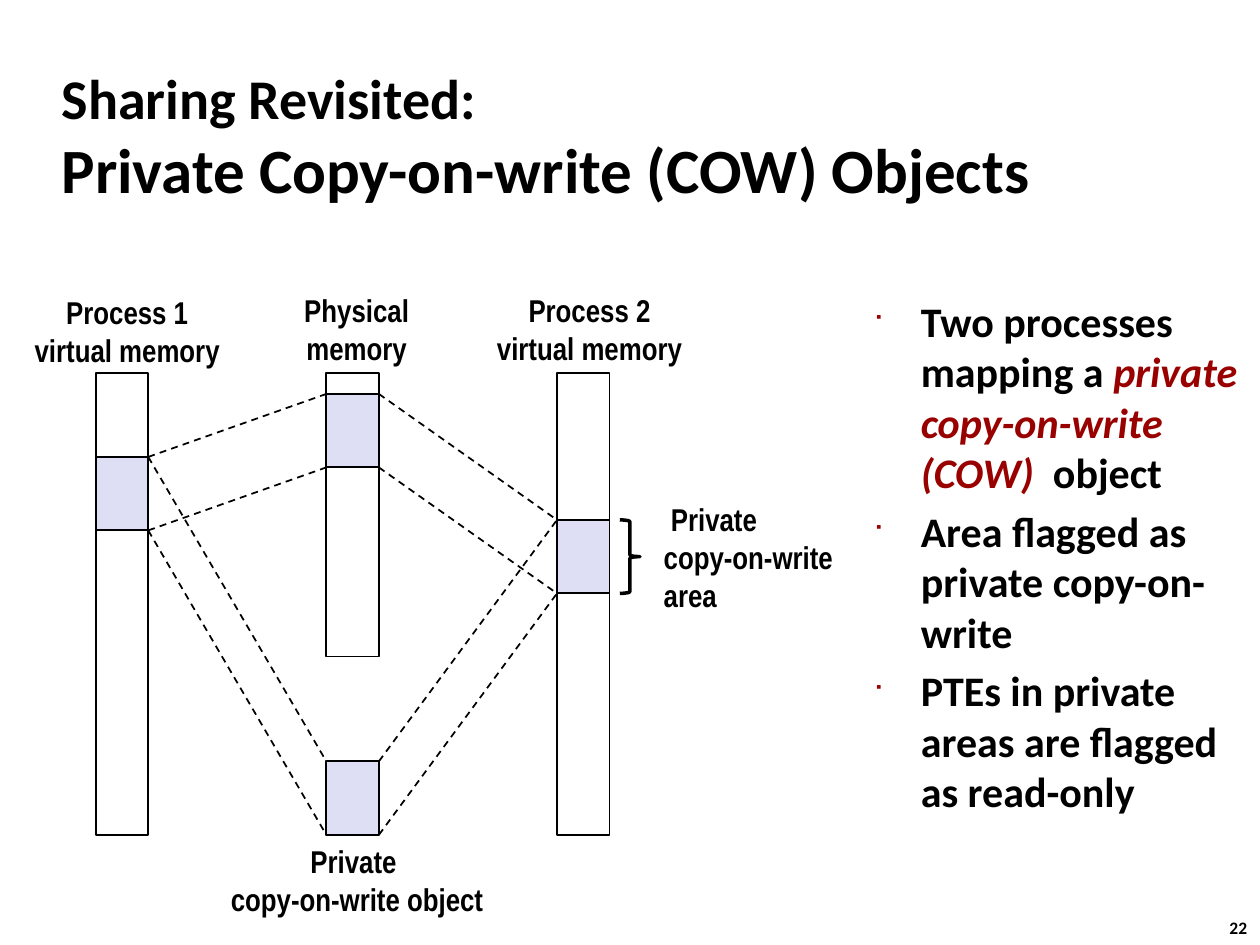
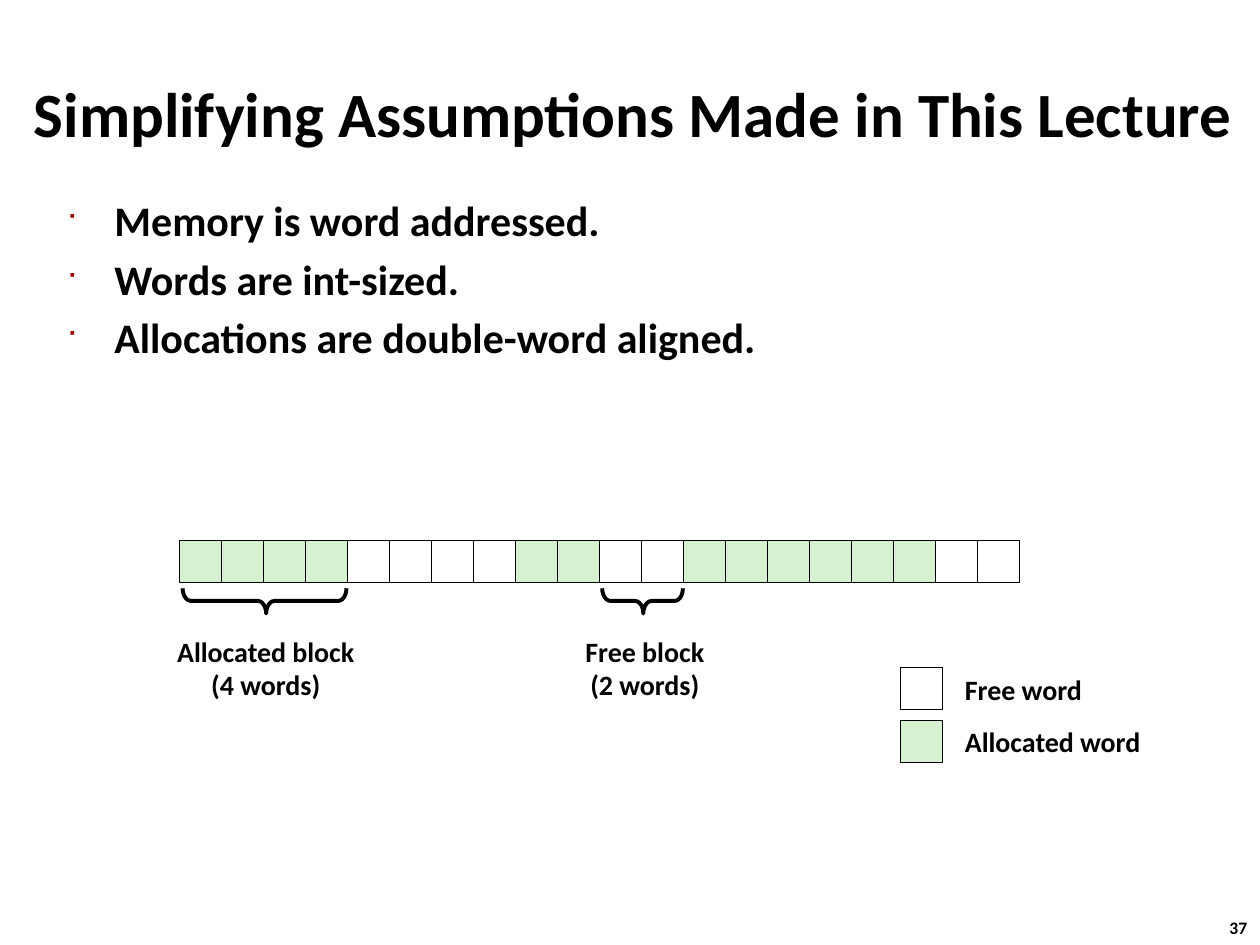
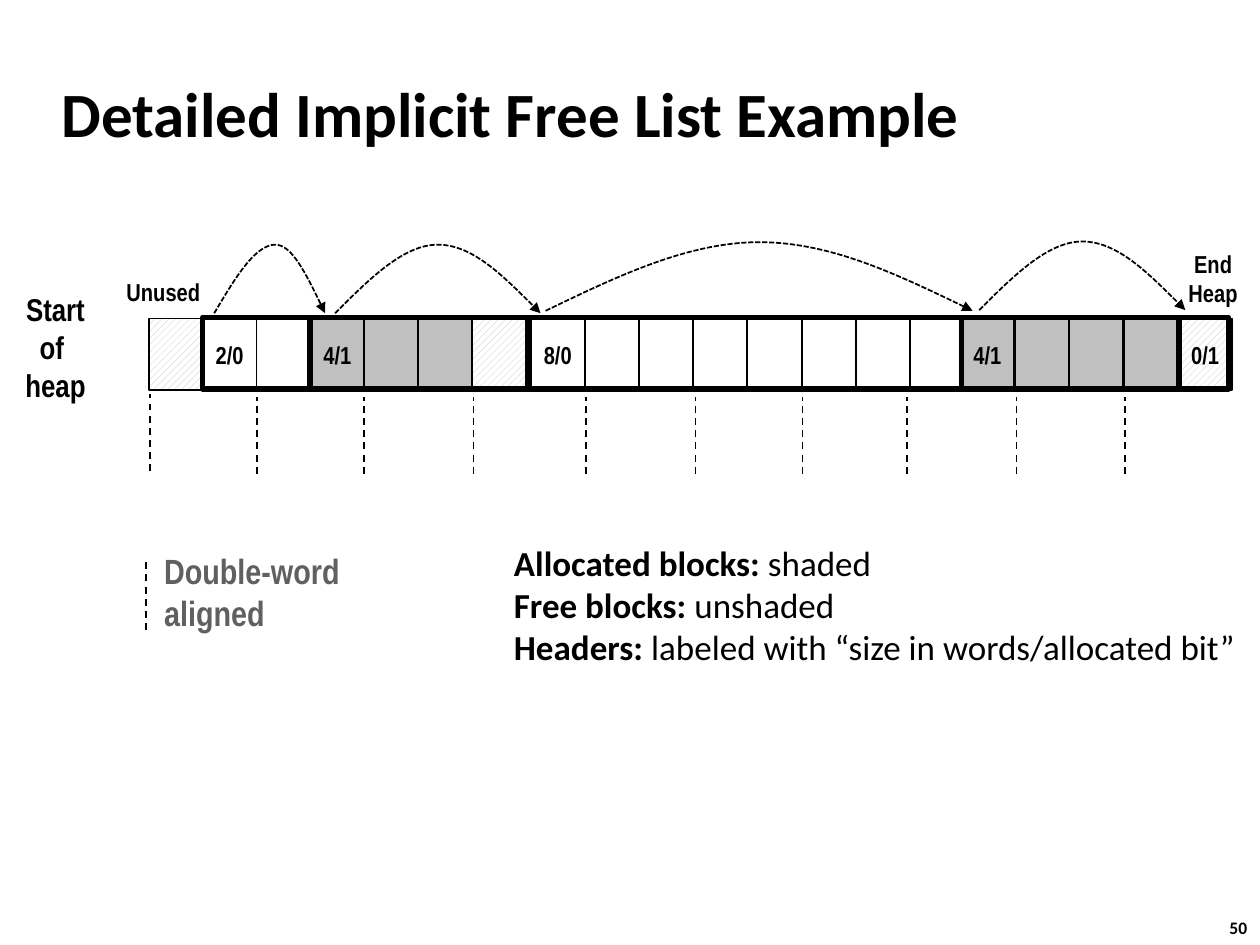
from lxml import etree
from pptx import Presentation
from pptx.dml.color import RGBColor
from pptx.enum.dml import MSO_LINE, MSO_PATTERN
from pptx.enum.shapes import MSO_CONNECTOR, MSO_SHAPE
from pptx.enum.text import MSO_ANCHOR, MSO_AUTO_SIZE, PP_ALIGN
from pptx.oxml.ns import qn
from pptx.util import Pt

RECT = MSO_SHAPE.RECTANGLE
LBRACE, RBRACE = MSO_SHAPE.LEFT_BRACE, MSO_SHAPE.RIGHT_BRACE
STRAIGHT = MSO_CONNECTOR.STRAIGHT
DASH, DOTS = MSO_LINE.DASH, MSO_LINE.SQUARE_DOT
HATCH = MSO_PATTERN.WIDE_UPWARD_DIAGONAL
LEFT, MID = PP_ALIGN.LEFT, PP_ALIGN.CENTER
TOP, CENTER = MSO_ANCHOR.TOP, MSO_ANCHOR.MIDDLE
FIXED, GROW = MSO_AUTO_SIZE.NONE, MSO_AUTO_SIZE.SHAPE_TO_FIT_TEXT

BLACK, WHITE, RED = "000000", "FFFFFF", "990000"
LILAC, GREEN = "DEDFF5", "D5F1CF"
GRAY, DARK = "C0C0C0", "606060"
SANS, NARROW = "Calibri", "Arial Narrow"


def color(code):
    return RGBColor.from_string(code)


def add_xml(parent, tag, **attrs):
    return etree.SubElement(parent, qn(tag), attrs)


def add_bullet(para):
    props = para._p.get_or_add_pPr()
    props.set("marL", str(Pt(27.3)))
    props.set("indent", str(-Pt(27.3)))
    add_xml(add_xml(props, "a:buClr"), "a:srgbClr", val=RED)
    add_xml(props, "a:buSzPct", val="60000")
    add_xml(props, "a:buFont", typeface="Wingdings")
    add_xml(props, "a:buChar", char="■")


def write(frame, paras, size=18, font=SANS, ink=BLACK, bold=True, align=LEFT,
          anchor=TOP, wrap=False, bullet=False, gap=0, lead=None):
    """Each paragraph is a string or a list of (text, changes) runs."""
    frame.word_wrap = wrap
    frame.vertical_anchor = anchor
    for i, runs in enumerate(paras):
        para = frame.paragraphs[0] if i == 0 else frame.add_paragraph()
        if bullet:
            add_bullet(para)
        para.alignment = align
        para.space_before = Pt(gap if i else 0)
        if lead:
            para.line_spacing = lead
        for text, change in ([(runs, {})] if isinstance(runs, str) else runs):
            if text == "\v":
                para.add_line_break()
                continue
            run = para.add_run()
            run.text = text
            run.font.name = font
            run.font.size = Pt(change.get("size", size))
            run.font.bold = change.get("bold", bold)
            run.font.italic = change.get("italic", False)
            run.font.color.rgb = color(change.get("ink", ink))


class Deck:
    def __init__(self):
        self.show = Presentation()
        self.show.slide_width, self.show.slide_height = Pt(720), Pt(540)
        self.shapes = None

    def page(self, number, runs, left=28, width=598, height=60):
        slide = self.show.slides.add_slide(self.show.slide_layouts[5])
        self.shapes = slide.shapes
        title = self.shapes.title
        title.left, title.top = Pt(left), Pt(34.2)
        title.width, title.height = Pt(width), Pt(height)
        title.text_frame.auto_size = FIXED
        write(title.text_frame, [runs], size=36, anchor=CENTER, wrap=True)
        self.text(695.5, 520.5, 26.6, 19.4, [number], size=10)

    def text(self, x, y, w, h, paras, **fmt):
        box = self.shapes.add_textbox(Pt(x), Pt(y), Pt(w), Pt(h))
        write(box.text_frame, paras, **fmt)
        box.text_frame.auto_size = FIXED if fmt.get("wrap") else GROW

    def label(self, x, y, w, h, paras, size=18, align=MID, **fmt):
        self.text(x, y, w, h, paras, size=size, font=NARROW, align=align,
                  anchor=CENTER, **fmt)

    def list(self, x, y, w, h, paras):
        self.text(x, y, w, h, paras, size=24, wrap=True, bullet=True, gap=4.8)

    def ink(self, shape, weight, dash=None):
        shape.line.color.rgb = color(BLACK)
        shape.line.width = Pt(weight)
        if dash:
            shape.line.dash_style = dash

    def shape(self, kind, x, y, w, h, fill=None, weight=1.0):
        item = self.shapes.add_shape(kind, Pt(x), Pt(y), Pt(w), Pt(h))
        item.shadow.inherit = False
        if fill is None:
            item.fill.background()
        elif fill == HATCH:
            item.fill.patterned()
            item.fill.pattern = HATCH
            item.fill.fore_color.rgb = color(GRAY)
            item.fill.back_color.rgb = color(WHITE)
        else:
            item.fill.solid()
            item.fill.fore_color.rgb = color(fill)
        self.ink(item, weight)
        return item

    def line(self, x1, y1, x2, y2):
        item = self.shapes.add_connector(STRAIGHT, Pt(x1), Pt(y1), Pt(x2), Pt(y2))
        self.ink(item, 1, DASH)
        add_xml(item.element.spPr, "a:effectLst")

    def arc(self, x1, peak, x2, base, rise=39.2):
        """Dashed bell-shaped jump with an arrowhead at its right end."""
        path = self.shapes.build_freeform(Pt(x1), Pt(base))
        path.add_line_segments([(Pt(peak), Pt(base - rise)), (Pt(x2), Pt(base))],
                               close=False)
        item = path.convert_to_shape()
        item.shadow.inherit = False
        item.fill.background()
        self.ink(item, 1, DOTS)
        props = item.element.spPr
        add_xml(props.find(qn("a:ln")), "a:tailEnd", type="triangle")

        # Turn the two straight segments into curves
        start, mid, end = 0, peak - x1, x2 - x1
        up, down = (mid - start) / 3, (end - mid) / 3
        curves = (((up, rise / 2), (2 * up, 0), (mid, 0)),
                  ((mid + down, 0), (mid + 2 * down, rise / 2), (end, rise)))
        for part, points in zip(list(props.iter(qn("a:lnTo"))), curves):
            curve = etree.Element(qn("a:cubicBezTo"))
            for x, y in points:
                add_xml(curve, "a:pt", x=str(int(Pt(x))), y=str(int(Pt(y))))
            part.getparent().replace(part, curve)


def sharing(deck):
    deck.page("22", [("Sharing Revisited: ", {"size": 32}), ("\v", {}),
                     ("Private Copy-on-write (COW) Objects", {})], height=86)
    deck.list(491.8, 165.3, 228.2, 330, [
        [("Two processes mapping a ", {}),
         ("private copy-on-write (COW)  ", {"ink": RED, "italic": True}),
         ("object", {})],
        "Area flagged as private copy-on-write",
        "PTEs in private areas are flagged as read-only"])

    # Memory columns and the pages mapped in them
    wide, page, top, tall = 30, 42, 213.1, 264
    first, phys, second = (54.7 + 131.8 * i for i in range(3))
    for x, height in ((first, tall), (phys, 162), (second, tall)):
        deck.shape(RECT, x, top, wide, height)
    frame, one, two, disk = top + 12, top + 48, top + 84, top + tall - page
    for x, y in ((phys, frame), (phys, disk), (first, one), (second, two)):
        deck.shape(RECT, x, y, wide, page, LILAC)

    # Mappings between the page edges
    for edge in (0, page):
        for y in (frame, disk):
            deck.line(first + wide, one + edge, phys, y + edge)
            deck.line(phys + wide, y + edge, second, two + edge)

    # Labels
    deck.label(7.2, 163.4, 131, 51, ["Process 1", "virtual memory"])
    deck.label(164.9, 162.5, 77.8, 51, ["Physical", "memory"])
    deck.label(271.4, 162.5, 131, 51, ["Process 2", "virtual memory"])
    deck.label(118.8, 477.2, 170.6, 51, ["Private ", "copy-on-write object"])
    deck.label(372.2, 282, 119.5, 72.7, [" Private", "copy-on-write", "area"],
               align=LEFT)
    deck.shape(RBRACE, 354.2, two, 11.5, page, weight=2)


def assume(deck):
    deck.page("37", "Simplifying Assumptions Made in This Lecture",
              left=12.2, width=707.8)
    deck.list(31, 107.5, 622, 391.7, [
        "Memory is word addressed.", "Words are int-sized.",
        "Allocations are double-word aligned."])

    # Row of words
    word = 24
    fills = {"a": GREEN, "f": WHITE}
    for i, kind in enumerate("aaaaffffaaffaaaaaaff"):
        deck.shape(RECT, 102.5 + word * i, 308.9, word, word, fills[kind], 0.25)

    # Braces with captions
    for mid, span, x, w, paras in (
            (151.2, 93.6, 93.6, 116.6, ["Allocated block", "(4 words)"]),
            (367.2, 46.1, 325.3, 86.4, ["Free block", "(2 words)"])):
        brace = deck.shape(LBRACE, mid - 7.2, 343.4 - span / 2, 14.4, span,
                           weight=2.25)
        brace.rotation = 270
        brace.adjustments[0], brace.adjustments[1] = 0.33, 0.51
        deck.text(x, 360, w, 45.4, paras, size=16, align=MID, lead=0.98)

    # Legend
    for i, (kind, name, w) in enumerate((("f", "Free word", 82),
                                         ("a", "Allocated word", 116))):
        y = 381.5 + 30.2 * i
        deck.shape(RECT, 514.4, y, word, word, fills[kind], 0.25)
        deck.text(544.3, y, w, 26.6, [name], size=16, lead=0.98)


def heap(deck):
    deck.page("50", "Detailed Implicit Free List Example")

    # Heap words, with headers
    wide, high = 30.9, 41
    fills = {"h": HATCH, "f": WHITE, "a": GRAY}
    heads = {0: "2/0", 2: "4/1", 6: "8/0"}
    for left, step, kinds, heads in (
            (85, 30.8, "hffaaah", {1: "2/0", 3: "4/1"}),
            (303.3, 30.96, "ffffffff", {0: "8/0"}),
            (548.8, 31.1, "aaaah", {0: "4/1", 4: "0/1"})):
        for i, kind in enumerate(kinds):
            cell = deck.shape(RECT, left + step * i, 182, wide, high, fills[kind])
            if i in heads:
                write(cell.text_frame, [heads[i]], size=14, font=NARROW,
                      align=MID, anchor=CENTER)

    # Block outlines
    for x, w in ((115.8, 61.2), (177.1, 125.3), (302.4, 247), (549.4, 124.6),
                 (673.4, 28.8)):
        deck.shape(RECT, x, 181.4, w, high, weight=3)

    # Jumps from header to header
    for x1, peak, x2, base in ((122.4, 157.3, 185.8, 179),
                               (191.5, 250.2, 308.9, 179),
                               (311.8, 433.8, 555.8, 177.6),
                               (559.6, 618.5, 677.4, 177.2)):
        deck.arc(x1, peak, x2, base)

    # Double-word marks
    deck.line(85.8, 269.3, 85.8, 225.4)
    for x in (146.9, 208.1, 270.6, 334.8, 397.4, 458.6, 518.5, 580.8, 643):
        deck.line(x, 270.7, x, 226.8)
    deck.line(83.5, 360, 83.5, 320.4)

    # Labels
    deck.label(5.8, 162, 51.8, 72.7, ["Start ", "of ", "heap"])
    deck.label(60.6, 153.4, 65.5, 26.6, ["Unused"], size=14)
    deck.label(671.6, 138.4, 43.2, 41, ["End", "Heap"], size=14)
    deck.label(86.7, 310.3, 146.9, 55.4, ["Double-word", "aligned"], size=20,
               align=LEFT, ink=DARK, wrap=True)
    plain = {"bold": False}
    deck.text(286.6, 306, 429.8, 80, [
        [("Allocated blocks: ", {}), ("shaded", plain)],
        [("Free blocks: ", {}), ("unshaded", plain)],
        [("Headers: ", {}),
         ("labeled with “size in words/allocated bit”", plain)]], size=20)


def main():
    deck = Deck()
    sharing(deck)
    assume(deck)
    heap(deck)
    deck.show.save("out.pptx")


if __name__ == "__main__":
    main()
